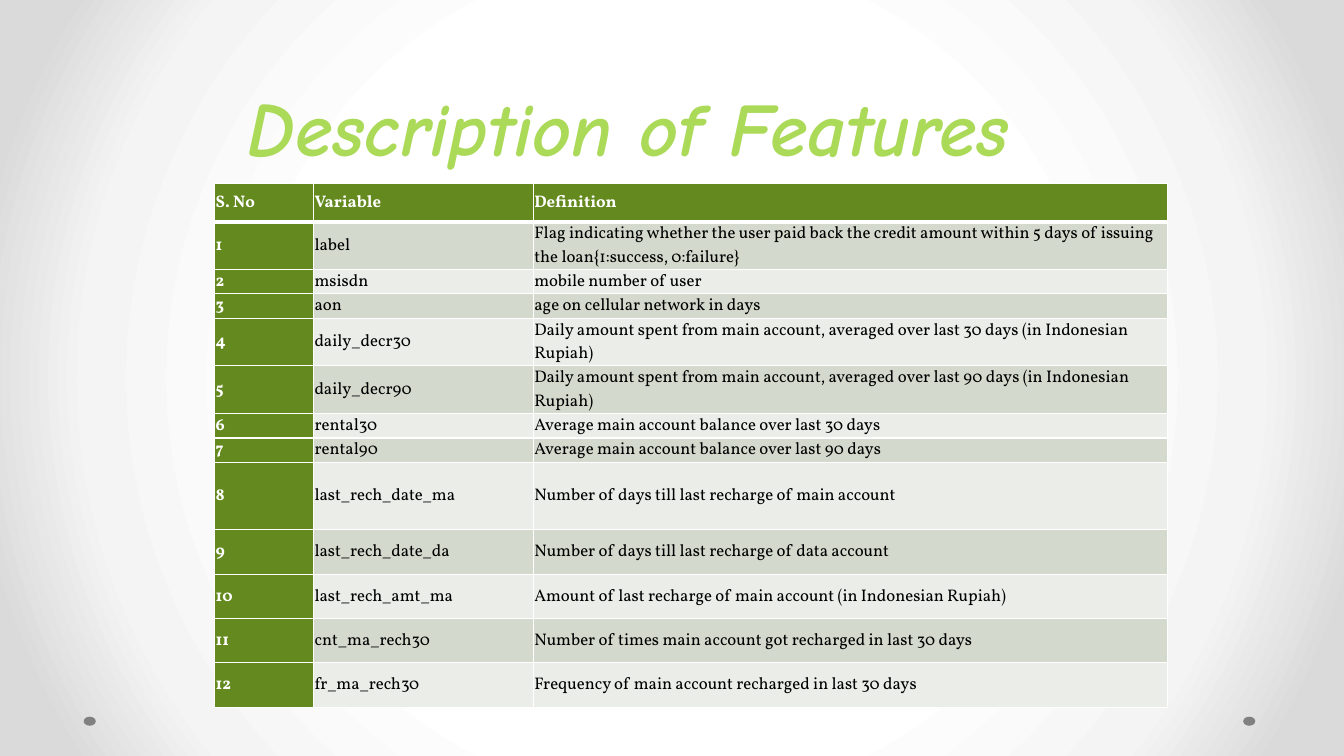
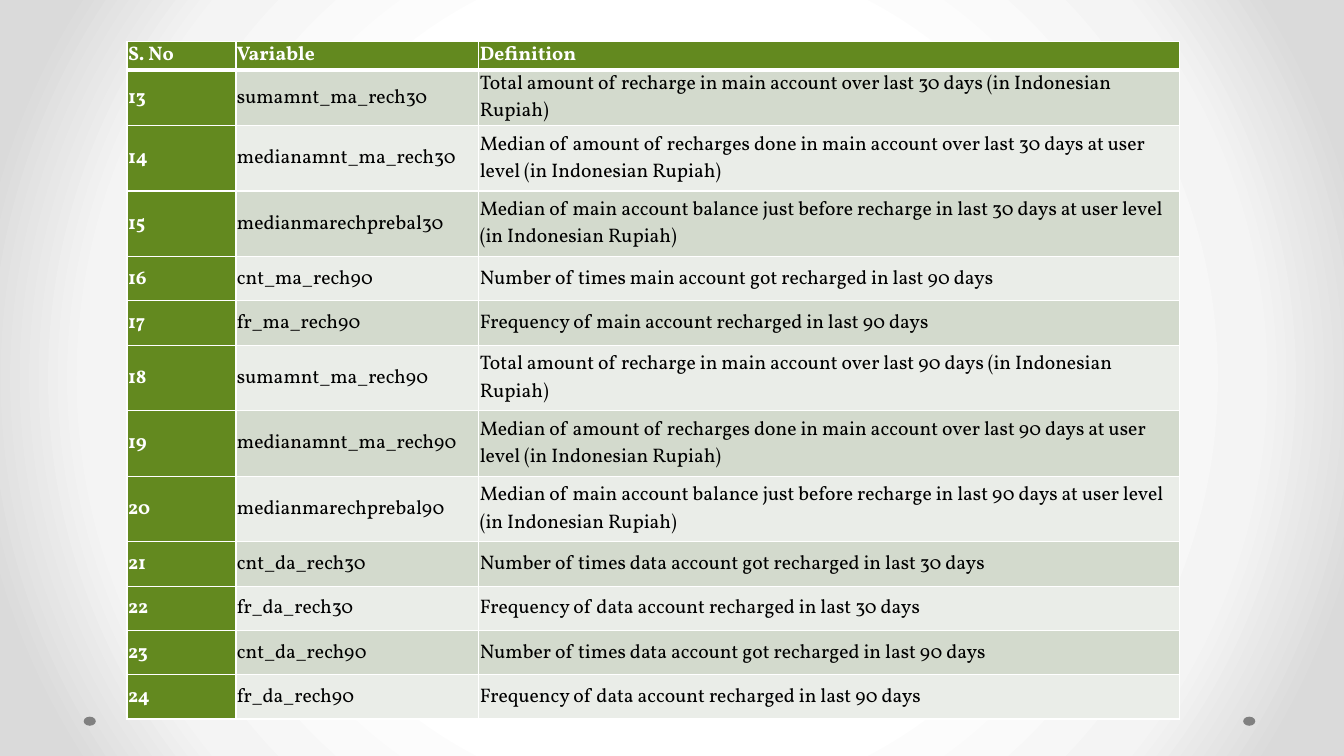
from pptx import Presentation
from pptx.dml.color import RGBColor
from pptx.enum.shapes import MSO_SHAPE as Shape
from pptx.enum.text import MSO_ANCHOR as Anchor, MSO_AUTO_SIZE as AutoSize, PP_ALIGN as Align
from pptx.oxml import parse_xml
from pptx.oxml.ns import nsdecls
from pptx.util import Inches, Pt

HEADINGS = ("S. No", "Variable", "Definition")

# Each feature: row height, variable, definition
FIRST_FEATURES = [
    (0.47, "label", "Flag indicating whether the user paid back the credit amount "
                    "within 5 days of issuing the loan{1:success, 0:failure}"),
    (0.22, "msisdn", "mobile number of user"),
    (0.22, "aon", "age on cellular network in days"),
    (0.44, "daily_decr30", "Daily amount spent from main account, "
                           "averaged over last 30 days (in Indonesian Rupiah)"),
    (0.44, "daily_decr90", "Daily amount spent from main account, "
                           "averaged over last 90 days (in Indonesian Rupiah)"),
    (0.22, "rental30", "Average main account balance over last 30 days"),
    (0.22, "rental90", "Average main account balance over last 90 days"),
    (0.67, "last_rech_date_ma", "Number of days till last recharge of main account"),
    (0.44, "last_rech_date_da", "Number of days till last recharge of data account"),
    (0.44, "last_rech_amt_ma", "Amount of last recharge of main account (in Indonesian Rupiah)"),
    (0.44, "cnt_ma_rech30", "Number of times main account got recharged in last 30 days"),
    (0.44, "fr_ma_rech30", "Frequency of main account recharged in last 30 days"),
]
SECOND_FEATURES = [
    (0.54, "sumamnt_ma_rech30", "Total amount of recharge in main account "
                                "over last 30 days (in Indonesian Rupiah)"),
    (0.65, "medianamnt_ma_rech30", "Median of amount of recharges done in main account "
                                   "over last 30 days at user level (in Indonesian Rupiah)"),
    (0.65, "medianmarechprebal30", "Median of main account balance just before recharge "
                                   "in last 30 days at user level (in Indonesian Rupiah)"),
    (0.44, "cnt_ma_rech90", "Number of times main account got recharged in last 90 days"),
    (0.44, "fr_ma_rech90", "Frequency of main account recharged in last 90 days"),
    (0.65, "sumamnt_ma_rech90", "Total amount of recharge in main account "
                                "over last 90 days (in Indonesian Rupiah)"),
    (0.65, "medianamnt_ma_rech90", "Median of amount of recharges done in main account "
                                   "over last 90 days at user level (in Indonesian Rupiah)"),
    (0.65, "medianmarechprebal90", "Median of main account balance just before recharge "
                                   "in last 90 days at user level (in Indonesian Rupiah)"),
    (0.44, "cnt_da_rech30", "Number of times data account got recharged in last 30 days"),
    (0.44, "fr_da_rech30", "Frequency of data account recharged in last 30 days"),
    (0.44, "cnt_da_rech90", "Number of times data account got recharged in last 90 days"),
    (0.44, "fr_da_rech90", "Frequency of data account recharged in last 90 days"),
]


def color(value):
    return RGBColor.from_string(value)


class FeatureDeck:
    """Holds the shared style and the current page."""
    TITLE_FONT, TABLE_FONT = "Comic Neue", "Vollkorn"
    LIME, GREEN, GREY = "ABD958", "63891F", "808080"
    WHITE, BLACK = "FFFFFF", "000000"
    BANDS = ("D3DACD", "EAEDE8")
    GLOW = ((50, "FFFFFF"), (76, "F4F4F4"), (92, "DADADA"))
    TITLE_ONLY, BLANK = 5, 6

    def __init__(self):
        self.deck = Presentation()
        self.deck.slide_width, self.deck.slide_height = Inches(13.33), Inches(7.5)
        self.page = None
        self.set_background()

    def set_background(self):
        """Give the master a round glow, shared by all pages."""
        fill = self.deck.slide_master.background.fill
        fill.solid()
        stops = "".join(f'<a:gs pos="{place * 1000}"><a:srgbClr val="{tone}"/></a:gs>'
                        for place, tone in self.GLOW)
        glow = parse_xml(
            f'<a:gradFill {nsdecls("a")} rotWithShape="1"><a:gsLst>{stops}</a:gsLst>'
            '<a:path path="circle"><a:fillToRect l="50000" t="50000" r="50000" b="50000"/>'
            '</a:path></a:gradFill>')
        solid = self.deck.slide_master.element.find(
            ".//{*}bgPr/{*}solidFill")
        solid.getparent().replace(solid, glow)

    def add_page(self, layout):
        self.page = self.deck.slides.add_slide(self.deck.slide_layouts[layout])
        for left in (12.33, 0.83):
            self.add_dot(left, 7.11)

    def add_dot(self, left, top):
        dot = self.page.shapes.add_shape(
            Shape.OVAL, Inches(left), Inches(top), Inches(0.12), Inches(0.09))
        dot.shadow.inherit = False
        dot.fill.solid()
        dot.fill.fore_color.rgb = color(self.GREY)
        dot.line.fill.background()

    def add_text(self, para, text, font, size, tone, bold, italic=False):
        span = para.add_run()
        span.text = text
        span.font.name, span.font.size = font, Pt(size)
        span.font.bold, span.font.italic = bold, italic
        span.font.color.rgb = color(tone)

    def add_title(self, text):
        box = self.page.shapes.title
        box.left, box.top = Inches(0.23), Inches(0)
        box.width, box.height = Inches(12), Inches(1.75)
        frame = box.text_frame
        frame.auto_size, frame.vertical_anchor = AutoSize.NONE, Anchor.BOTTOM
        para = frame.paragraphs[0]
        para.alignment, para.line_spacing = Align.CENTER, Pt(58)
        self.add_text(para, text, self.TITLE_FONT, 54, self.LIME, True, True)

    def set_borders(self, cell, top, bottom):
        properties = cell._tc.get_or_add_tcPr()
        for side, width in (("L", 1), ("R", 1), ("T", top), ("B", bottom)):
            properties.append(parse_xml(
                f'<a:ln{side} {nsdecls("a")} w="{Pt(width)}"><a:solidFill>'
                f'<a:srgbClr val="{self.WHITE}"/></a:solidFill></a:ln{side}>'))

    def fill_cell(self, cell, text, size, row, column):
        strong = row == 0 or column == 0
        self.set_borders(cell, 3 if row == 1 else 1, 3 if row == 0 else 1)
        cell.fill.solid()
        cell.fill.fore_color.rgb = color(self.GREEN if strong else self.BANDS[(row - 1) % 2])
        cell.vertical_anchor = Anchor.MIDDLE
        cell.margin_left = cell.margin_top = cell.margin_right = Inches(0.01)
        cell.margin_bottom = Inches(0)
        self.add_text(cell.text_frame.paragraphs[0], text, self.TABLE_FONT, size,
                      self.WHITE if strong else self.BLACK, strong)

    def add_features(self, left, top, widths, header_height, features, first, size):
        """Add a table whose features are numbered from first."""
        heights = [header_height] + [height for height, *_ in features]
        rows = [HEADINGS] + [(str(number), variable, definition) for number,
                             (_, variable, definition) in enumerate(features, first)]
        table = self.page.shapes.add_table(
            len(rows), len(widths), Inches(left), Inches(top),
            Inches(sum(widths)), Inches(sum(heights))).table
        table.first_row = table.horz_banding = False
        for column, width in zip(table.columns, widths):
            column.width = Inches(width)
        for row, (height, texts) in enumerate(zip(heights, rows)):
            table.rows[row].height = Inches(height)
            for column, text in enumerate(texts):
                self.fill_cell(table.cell(row, column), text, size, row, column)

    def save(self):
        self.deck.save("out.pptx")


def main():
    show = FeatureDeck()

    # Features 1 to 12
    show.add_page(FeatureDeck.TITLE_ONLY)
    show.add_title("Description of Features")
    show.add_features(2.13, 1.82, (0.98, 2.18, 6.29), 0.38, FIRST_FEATURES, 1, 12)

    # Features 13 to 24
    show.add_page(FeatureDeck.BLANK)
    show.add_features(1.26, 0.41, (1.08, 2.41, 6.95), 0.28, SECOND_FEATURES, 13, 14)

    show.save()


if __name__ == "__main__":
    main()
